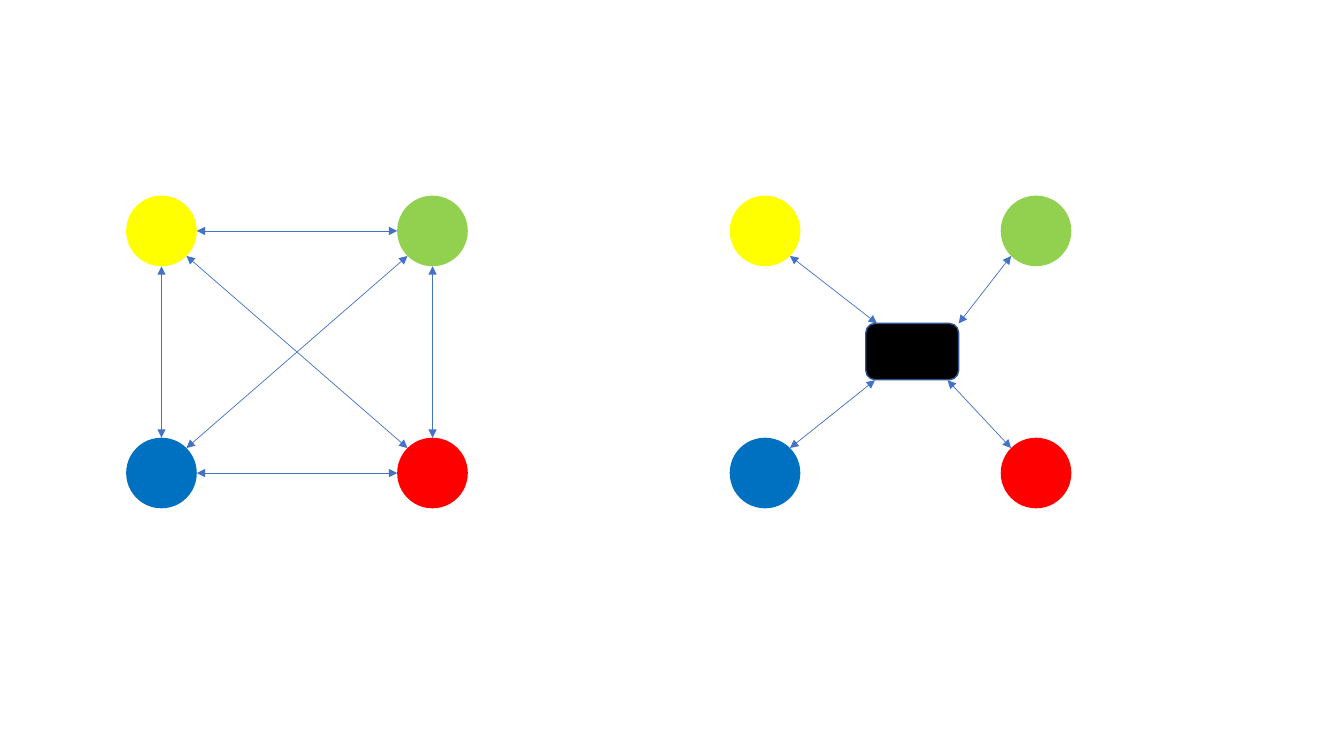
from math import hypot

from lxml import etree
from pptx import Presentation
from pptx.dml.color import RGBColor
from pptx.enum.shapes import MSO_CONNECTOR, MSO_SHAPE
from pptx.oxml.ns import qn
from pptx.util import Cm, Pt

ELLIPSE = MSO_SHAPE.OVAL
ROUNDED = MSO_SHAPE.ROUNDED_RECTANGLE
STRAIGHT = MSO_CONNECTOR.STRAIGHT

NODES = {
    "yellow": (0, 0, "FFFF00"),
    "red": (1, 1, "FF0000"),
    "blue": (0, 1, "0070C0"),
    "green": (1, 0, "92D050"),
}
MESH_LINKS = [
    ("yellow", "green"),
    ("yellow", "blue"),
    ("green", "red"),
    ("blue", "red"),
    ("green", "blue"),
    ("yellow", "red"),
]
HUB_LINKS = {
    "green": (24.16, 8.15),
    "red": (23.88, 9.58),
    "blue": (22.05, 9.58),
    "yellow": (22.1, 8.15),
}
HUB_BOX = (21.82, 8.15, 2.34, 1.42)
MESH_LEFT, STAR_LEFT, TOP = 3.18, 18.39, 4.93
DIAMETER, COLUMN_STEP, ROW_STEP = 1.78, 6.83, 6.1
ARROW_COLOR, HUB_FILL, HUB_LINE = "4472C4", "000000", "325491"


def color(hex_text):
    return RGBColor.from_string(hex_text)


def add_figure(page, kind, box, fill, outline=None):
    figure = page.shapes.add_shape(kind, *(Cm(value) for value in box))
    figure.shadow.inherit = False
    figure.fill.solid()
    figure.fill.fore_color.rgb = color(fill)
    if outline:
        figure.line.color.rgb = color(outline)
        figure.line.width = Pt(1)
    else:
        figure.line.fill.background()


def add_nodes(page, left):
    for column, row, fill in NODES.values():
        box = (left + column * COLUMN_STEP, TOP + row * ROW_STEP, DIAMETER, DIAMETER)
        add_figure(page, ELLIPSE, box, fill)


def rim_point(left, name, across, down):
    column, row, _ = NODES[name]
    radius = DIAMETER / 2
    length = hypot(across, down)
    return (
        left + column * COLUMN_STEP + radius * (1 + across / length),
        TOP + row * ROW_STEP + radius * (1 + down / length),
    )


def add_arrow(page, start, end):
    arrow = page.shapes.add_connector(STRAIGHT, *(Cm(value) for value in start + end))
    arrow.line.color.rgb = color(ARROW_COLOR)
    arrow.line.width = Pt(0.5)
    line = arrow.line._get_or_add_ln()
    for tag in ("a:headEnd", "a:tailEnd"):
        etree.SubElement(line, qn(tag), type="triangle")
    etree.SubElement(arrow._element.spPr, qn("a:effectLst"))


def add_mesh(page):
    add_nodes(page, MESH_LEFT)
    for first, second in MESH_LINKS:
        across = NODES[second][0] - NODES[first][0]
        down = NODES[second][1] - NODES[first][1]
        start = rim_point(MESH_LEFT, first, across, down)
        end = rim_point(MESH_LEFT, second, -across, -down)
        add_arrow(page, start, end)


def add_star(page):
    add_nodes(page, STAR_LEFT)
    add_figure(page, ROUNDED, HUB_BOX, HUB_FILL, HUB_LINE)
    for name, hub_point in HUB_LINKS.items():
        column, row, _ = NODES[name]
        start = rim_point(STAR_LEFT, name, 1 - 2 * column, 1 - 2 * row)
        add_arrow(page, start, hub_point)


def main():
    deck = Presentation()
    deck.slide_width, deck.slide_height = Cm(33.87), Cm(19.05)
    page = deck.slides.add_slide(deck.slide_layouts[6])
    add_mesh(page)
    add_star(page)
    deck.save("out.pptx")


if __name__ == "__main__":
    main()
